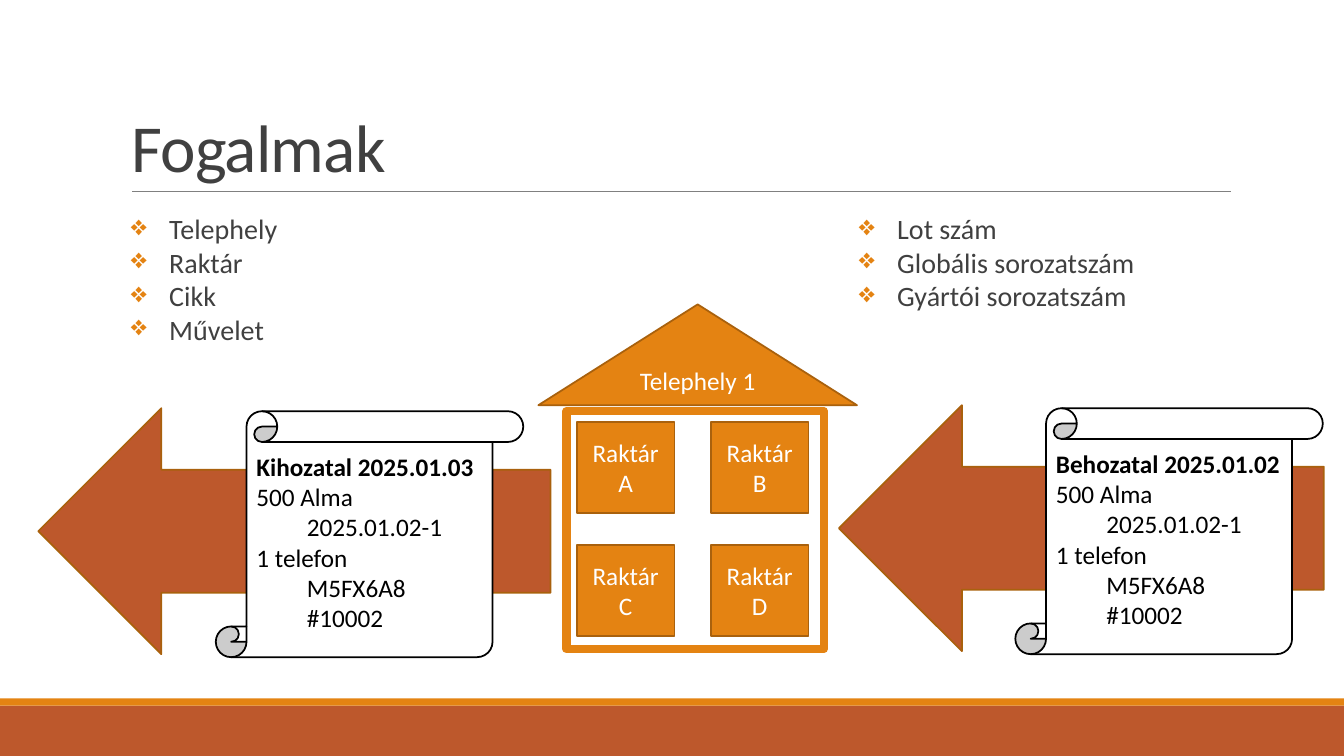
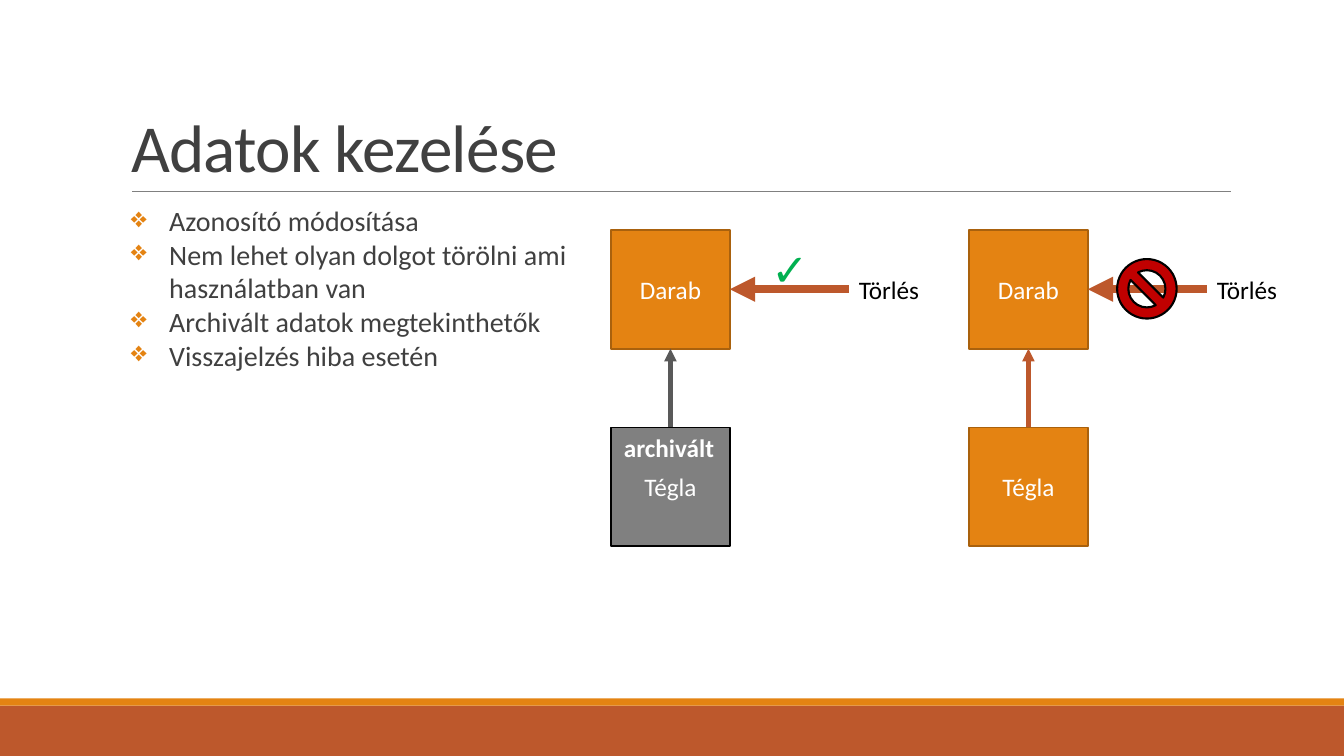
from lxml.etree import SubElement
from pptx import Presentation
from pptx.dml.color import RGBColor
from pptx.enum.shapes import MSO_CONNECTOR, MSO_SHAPE
from pptx.enum.text import MSO_ANCHOR, MSO_AUTO_SIZE, PP_ALIGN
from pptx.oxml.ns import qn
from pptx.util import Inches, Pt

FONT = "Calibri"
ORANGE, RUST, EDGE = "E48312", "BD582C", "A9610D"
WHITE, BLACK, GRAY, DARK = "FFFFFF", "000000", "808080", "404040"

TERMS = [
    (1.2, ["Telephely", "Raktár", "Cikk", "Művelet"]),
    (8.42, ["Lot szám", "Globális sorozatszám", "Gyártói sorozatszám"]),
]
RULES = [
    "Azonosító módosítása",
    "Nem lehet olyan dolgot törölni ami használatban van",
    "Archivált adatok megtekinthetők",
    "Visszajelzés hiba esetén",
]
STORES = ["Raktár A", "Raktár B", "Raktár C", "Raktár D"]
ITEMS = [
    ("500 Alma", 0),
    ("2025.01.02-1", 0.5),
    ("1 telefon", 0),
    ("M5FX6A8", 0.5),
    ("#10002", 0.5),
]
MOVES = [
    ("Behozatal 2025.01.02", 8.32, 4.02, 4.81, 10.07),
    ("Kihozatal 2025.01.03", 0.38, 4.05, 5.08, 2.14),
]
CASES = [
    (9.61, ORANGE, EDGE, RUST),
    (6.06, GRAY, BLACK, "595959"),
]


def color(code):
    return RGBColor.from_string(code)


def style(par, size, code, bold=False, align=PP_ALIGN.LEFT):
    par.alignment = align
    font = par.font
    font.name, font.size, font.bold = FONT, Pt(size), bold
    font.color.rgb = color(code)


def indent(par, left, first=0):
    props = par._p.get_or_add_pPr()
    props.set("marL", str(Inches(left)))
    props.set("indent", str(Inches(first)))
    return props


def shape(slide, kind, box, fill, edge=None, width=1.25, text=""):
    item = slide.shapes.add_shape(kind, *map(Inches, box))
    item.shadow.inherit = False
    item.fill.solid()
    item.fill.fore_color.rgb = color(fill)
    if edge:
        item.line.color.rgb = color(edge)
        item.line.width = Pt(width)
    else:
        item.line.fill.background()
    if text:
        frame = item.text_frame
        frame.text = text
        frame.vertical_anchor = MSO_ANCHOR.MIDDLE
        style(frame.paragraphs[0], 18, WHITE, align=PP_ALIGN.CENTER)
    return item


def line(slide, start, end, code, width, arrow=False):
    item = slide.shapes.add_connector(
        MSO_CONNECTOR.STRAIGHT, *map(Inches, start + end))
    item.line.color.rgb = color(code)
    item.line.width = Pt(width)
    if arrow:
        SubElement(item.line._get_or_add_ln(), qn("a:tailEnd"), type="triangle")
    SubElement(item._element.spPr, qn("a:effectLst"))
    return item


def label(slide, box, text, size, code, bold=False, wrap=False,
          align=PP_ALIGN.LEFT):
    frame = slide.shapes.add_textbox(*map(Inches, box)).text_frame
    frame.word_wrap = wrap
    frame.text = text
    style(frame.paragraphs[0], size, code, bold, align)


def bullets(slide, box, lines):
    frame = slide.shapes.add_textbox(*map(Inches, box)).text_frame
    frame.word_wrap = True
    frame.text = "\n".join(lines)
    for par in frame.paragraphs:
        props = indent(par, 0.38, -0.38)
        tint = SubElement(props, qn("a:buClr"))
        SubElement(tint, qn("a:srgbClr"), val=ORANGE)
        SubElement(props, qn("a:buChar"), char="❖")
        style(par, 20, DARK)


def brand(slide):
    tree = slide.slide_layout.shapes.element
    for part in (
        shape(slide, MSO_SHAPE.RECTANGLE, (0, 7, 13.33, 0.5), RUST),
        shape(slide, MSO_SHAPE.RECTANGLE, (0, 6.93, 13.33, 0.07), ORANGE),
        line(slide, (1.31, 1.9), (12.21, 1.9), GRAY, 0.5),
    ):
        tree.append(part._element)


def start(deck, text):
    slide = deck.slides.add_slide(deck.slide_layouts[5])
    title = slide.shapes.title
    title.left, title.top = Inches(1.2), Inches(0.31)
    title.width, title.height = Inches(11), Inches(1.59)
    frame = title.text_frame
    frame.text = text
    frame.auto_size = MSO_AUTO_SIZE.NONE
    frame.vertical_anchor = MSO_ANCHOR.BOTTOM
    par = frame.paragraphs[0]
    par.line_spacing = 0.85
    style(par, 48, DARK)
    par._p.pPr.find(qn("a:defRPr")).set("spc", "-50")
    return slide


def scroll(slide, left, top, head):
    item = shape(slide, MSO_SHAPE.VERTICAL_SCROLL, (left, top, 3.05, 2.44),
                 WHITE, BLACK)
    frame = item.text_frame
    frame.vertical_anchor = MSO_ANCHOR.MIDDLE
    frame.text = head
    style(frame.paragraphs[0], 18, BLACK, True)
    for text, left in ITEMS:
        par = frame.add_paragraph()
        par.text = text
        indent(par, left)
        style(par, 18, BLACK)


def concepts(deck):
    slide = start(deck, "Fogalmak")
    brand(slide)
    for left, terms in TERMS:
        bullets(slide, (left, 2.05, 5.02, 1.45), terms)
    shape(slide, MSO_SHAPE.RECTANGLE, (5.62, 4.08, 2.55, 2.36), WHITE, ORANGE, 6)
    for i, name in enumerate(STORES):
        row, col = divmod(i, 2)
        box = (5.72 + 1.33 * col, 4.19 + 1.22 * row, 0.97, 0.9)
        shape(slide, MSO_SHAPE.RECTANGLE, box, ORANGE, EDGE, text=name)
    shape(slide, MSO_SHAPE.ISOSCELES_TRIANGLE, (5.34, 3.02, 3.16, 1),
          ORANGE, EDGE, text="Telephely 1")
    for head, left, top, width, page in MOVES:
        shape(slide, MSO_SHAPE.LEFT_ARROW, (left, top, width, 2.44), RUST, EDGE)
        scroll(slide, page, top + 0.03, head)


def handling(deck):
    slide = start(deck, "Adatok kezelése")
    bullets(slide, (1.2, 1.97, 5.74, 1.78), RULES)
    side, top, low = 1.18, 2.28, 4.24
    for left, fill, edge, link in CASES:
        piece = shape(slide, MSO_SHAPE.RECTANGLE, (left, top, side, side),
                      ORANGE, EDGE, text="Darab")
        brick = shape(slide, MSO_SHAPE.RECTANGLE, (left, low, side, side),
                      fill, edge, text="Tégla")
        mid, right, level = left + side / 2, left + side, top + side / 2
        rise = line(slide, (mid, low), (mid, top + side), link, 3, True)
        rise.begin_connect(brick, 0)
        rise.end_connect(piece, 2)
        wipe = line(slide, (right + side, level), (right, level), RUST, 6, True)
        wipe.end_connect(piece, 3)
        label(slide, (right + side, level - 0.2, 0.81, 0.4), "Törlés", 18, BLACK)
    shape(slide, MSO_SHAPE.NO_SYMBOL, (11.08, 2.57, 0.59, 0.59),
          "C00000", BLACK, 1.5)
    label(slide, (6.09, low, 1.1, 0.4), "archivált", 18, WHITE, True)
    label(slide, (7.25, 2.35, 1.17, 0.64), "✓", 32, "00B050", True, True,
          PP_ALIGN.CENTER)


def main():
    deck = Presentation()
    deck.slide_width, deck.slide_height = Inches(13.33), Inches(7.5)
    concepts(deck)
    handling(deck)
    deck.save("out.pptx")


if __name__ == "__main__":
    main()
